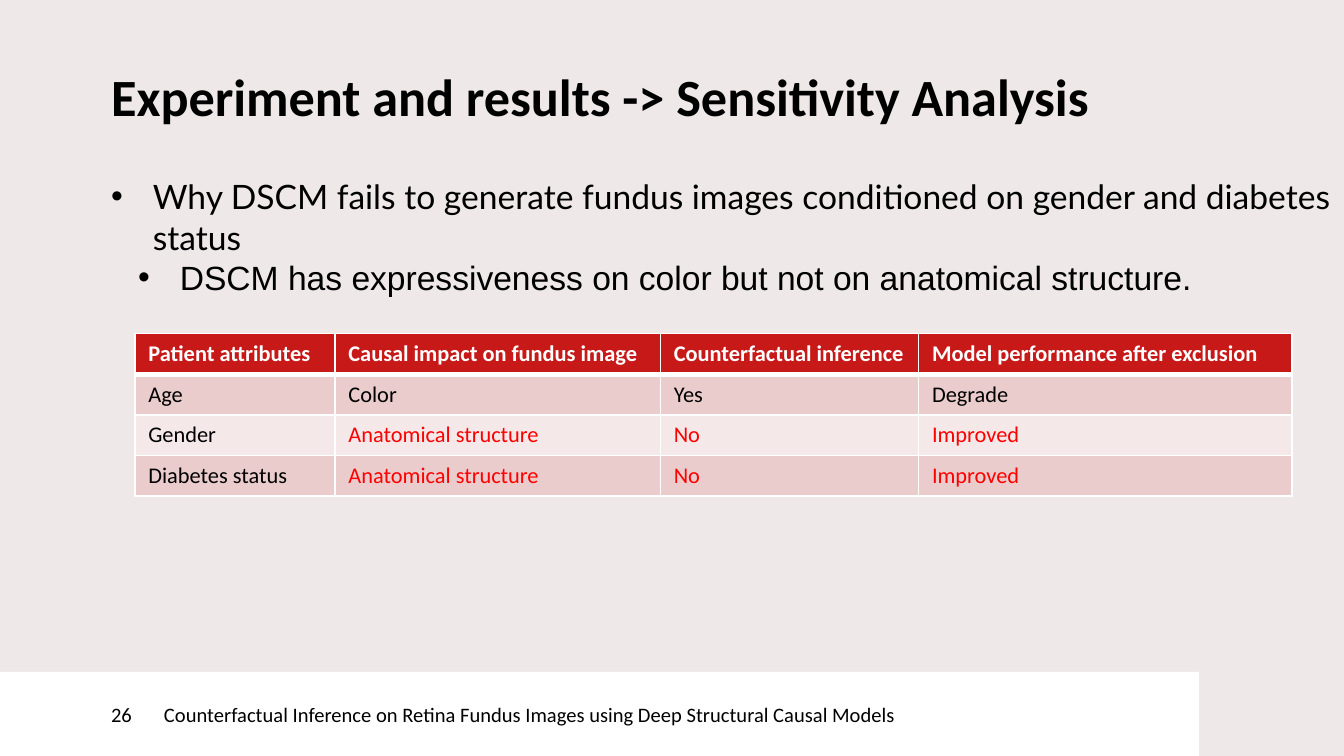
"""Build the sensitivity analysis slide."""
import pptx
import pptx.util
import pptx.dml.color
import pptx.enum.shapes
import pptx.enum.text
import pptx.oxml
import pptx.oxml.ns

Cm = pptx.util.Cm
Pt = pptx.util.Pt

COLORS = {
    "ground": "EEE8E8",
    "white": "FFFFFF",
    "black": "000000",
    "header": "C81919",
    "dark_band": "EBCCCC",
    "light_band": "F5E8E8",
    "alert": "FF0000",
}
ATTRIBUTES = [
    ("Patient attributes", "Causal impact on fundus image",
     "Counterfactual inference", "Model performance after exclusion"),
    ("Age", "Color", "Yes", "Degrade"),
    ("Gender", "Anatomical structure", "No", "Improved"),
    ("Diabetes status", "Anatomical structure", "No", "Improved"),
]
ALERTS = {"Anatomical structure", "No", "Improved"}
COLUMN_WIDTHS = [3.78, 6.15, 4.88, 7.06]
ROW_HEIGHT = 0.77


def rgb(name):
    return pptx.dml.color.RGBColor.from_string(COLORS[name])


def style(paragraph, font, size, color="black", bold=False):
    paragraph.font.name = font
    paragraph.font.size = Pt(size)
    paragraph.font.bold = bold
    paragraph.font.color.rgb = rgb(color)


def clear_insets(frame, left=0):
    frame.word_wrap = True
    frame.margin_left = Cm(left)
    frame.margin_top = frame.margin_right = frame.margin_bottom = 0


def add_text(slide, left, top, width, height):
    frame = slide.shapes.add_textbox(
        Cm(left), Cm(top), Cm(width), Cm(height)).text_frame
    clear_insets(frame)
    return frame


def add_title(slide, text):
    title = add_text(slide, 2.1, 1.45, 20.98, 1.5).paragraphs[0]
    title.text = text
    title.line_spacing = Pt(27)
    style(title, "Calibri", 28, bold=True)


def add_bullet(paragraph, text, font, left, level=0):
    paragraph.text = text
    paragraph.level = level
    properties = paragraph._p.get_or_add_pPr()
    properties.set("marL", str(Cm(left)))
    properties.set("indent", str(-Cm(0.79)))
    namespace = pptx.oxml.ns.nsdecls("a")
    for mark in ('buFont %s typeface="Arial"', 'buChar %s char="•"'):
        properties.append(pptx.oxml.parse_xml("<a:" + mark % namespace + "/>"))
    style(paragraph, font, 18)


def add_footer_panel(slide, text, left, width, inset=0):
    panel = slide.shapes.add_shape(
        pptx.enum.shapes.MSO_SHAPE.RECTANGLE,
        Cm(left), Cm(12.7), Cm(width), Cm(1.59))
    panel.shadow.inherit = False
    panel.fill.solid()
    panel.fill.fore_color.rgb = rgb("white")
    panel.line.fill.background()
    frame = panel.text_frame
    clear_insets(frame, inset)
    frame.vertical_anchor = pptx.enum.text.MSO_ANCHOR.MIDDLE
    caption = frame.paragraphs[0]
    caption.text = text
    caption.alignment = pptx.enum.text.PP_ALIGN.LEFT
    style(caption, "Calibri", 11)


def add_borders(cell, widths):
    properties = cell._tc.get_or_add_tcPr()
    for position, (side, width) in enumerate(widths.items()):
        properties.insert(position, pptx.oxml.parse_xml(
            f'<a:ln{side} {pptx.oxml.ns.nsdecls("a")} w="{Pt(width)}">'
            f'<a:solidFill><a:srgbClr val="{COLORS["white"]}"/></a:solidFill>'
            f'</a:ln{side}>'))


def fill_cell(cell, text, row):
    header = row == 0
    band = "header" if header else "dark_band" if row % 2 else "light_band"
    cell.fill.solid()
    cell.fill.fore_color.rgb = rgb(band)
    add_borders(cell, {"L": 1, "R": 1, "T": 3 if row == 1 else 1,
                       "B": 3 if header else 1})
    entry = cell.text_frame.paragraphs[0]
    entry.text = text
    color = "white" if header else "alert" if text in ALERTS else "black"
    style(entry, "Calibri", 12, color, header)


def add_attribute_table(slide):
    table = slide.shapes.add_table(
        len(ATTRIBUTES), len(COLUMN_WIDTHS), Cm(2.55), Cm(6.3),
        Cm(sum(COLUMN_WIDTHS)), Cm(ROW_HEIGHT * len(ATTRIBUTES))).table
    for column, width in zip(table.columns, COLUMN_WIDTHS):
        column.width = Cm(width)
    for row, entries in enumerate(ATTRIBUTES):
        table.rows[row].height = Cm(ROW_HEIGHT)
        for column, text in enumerate(entries):
            fill_cell(table.cell(row, column), text, row)


def main():
    deck = pptx.Presentation()
    deck.slide_width, deck.slide_height = Cm(25.4), Cm(14.29)
    slide = deck.slides.add_slide(deck.slide_layouts[6])
    slide.background.fill.solid()
    slide.background.fill.fore_color.rgb = rgb("ground")

    add_title(slide, "Experiment and results -> Sensitivity Analysis")
    add_footer_panel(
        slide, "Counterfactual Inference on Retina Fundus Images "
        "using Deep Structural Causal Models", 3.1, 19.56)
    add_footer_panel(slide, "26", 0, 3.1, 2.1)

    findings = add_text(slide, 2.1, 3.33, 23.3, 0.94)
    add_bullet(findings.paragraphs[0],
               "Why DSCM fails to generate fundus images conditioned on "
               "gender and diabetes status", "Lato", 0.79)
    add_bullet(findings.add_paragraph(),
               "DSCM has expressiveness on color but not on anatomical "
               "structure.", "Arial", 1.3, level=1)
    add_attribute_table(slide)
    deck.save("out.pptx")


if __name__ == "__main__":
    main()
